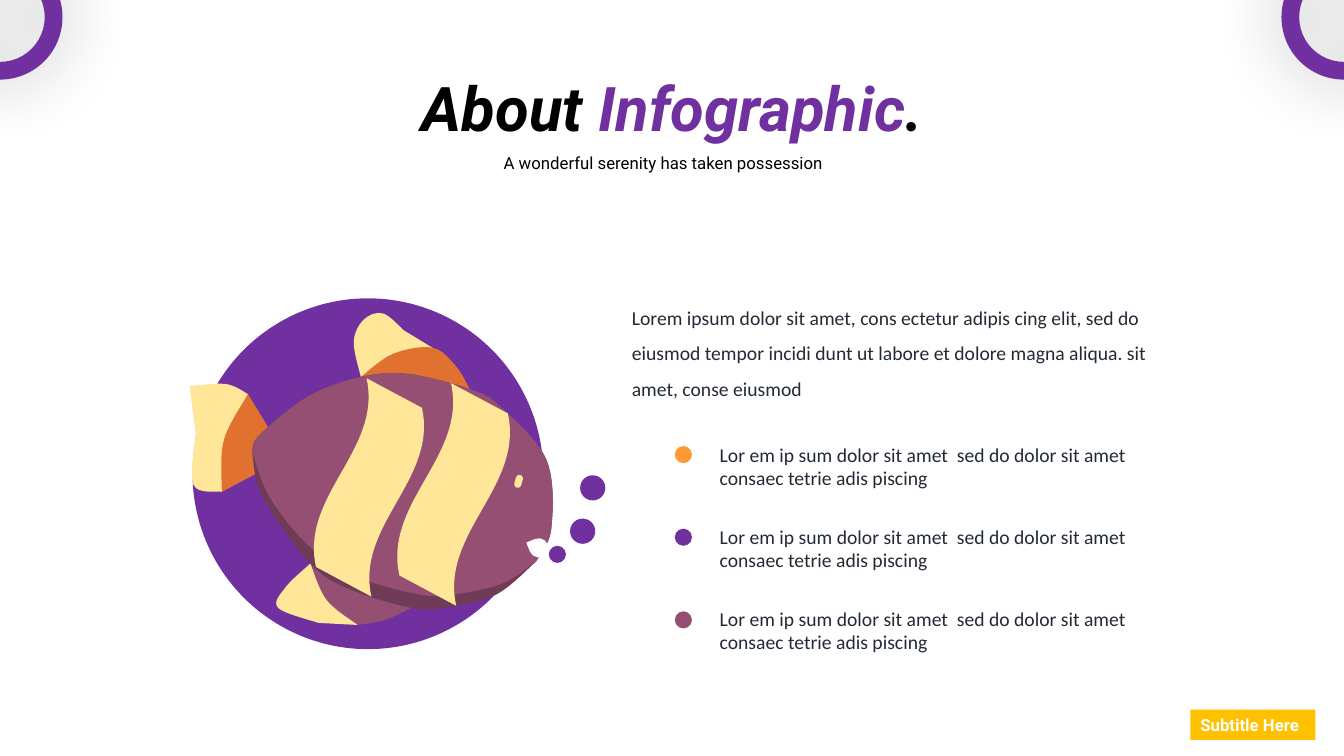
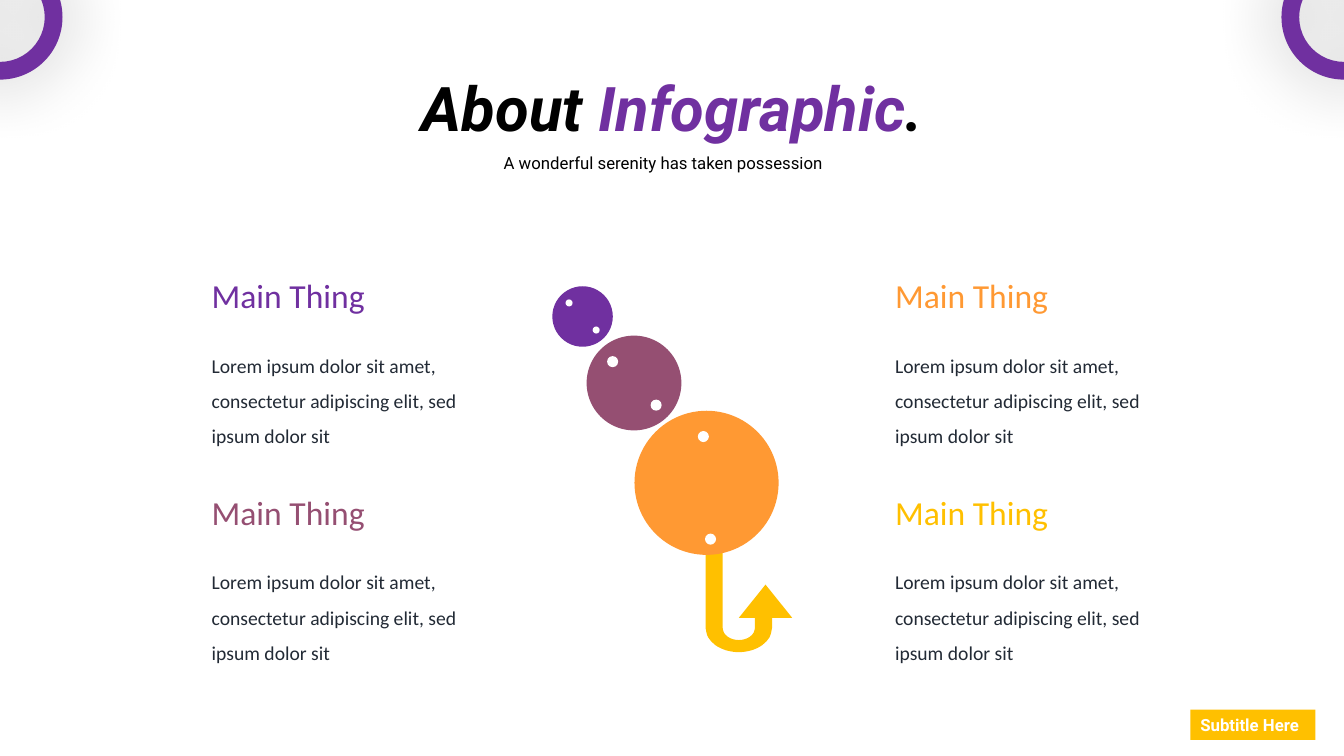
from math import cos, radians, sin

from pptx import Presentation
from pptx.dml.color import RGBColor
from pptx.enum.shapes import MSO_SHAPE
from pptx.enum.text import MSO_ANCHOR, MSO_AUTO_SIZE, PP_ALIGN
from pptx.oxml import parse_xml
from pptx.oxml.ns import nsdecls, qn
from pptx.util import Pt

CELL = 914400
COLUMNS, ROWS = 40 / 3, 7.5
PRECISION = 1000
COLORS = {
    "purple": "7030A0", "plum": "954F72", "shade": "703B56",
    "cream": "FFE699", "rust": "E0712F", "orange": "FF9933",
    "gold": "FFC000", "ink": "222A35", "black": "000000", "white": "FFFFFF",
}
HEADING, BODY = "Roboto", "Calibri"
SUMMARY = ("Lorem ipsum dolor sit amet, cons ectetur adipis cing elit, sed do eiusmod "
           "tempor incidi dunt ut labore et dolore magna aliqua. sit amet, conse eiusmod")
POINT = "Lor em ip sum dolor sit amet  sed do dolor sit amet consaec tetrie adis piscing"
DETAIL = "Lorem ipsum dolor sit amet, consectetur adipiscing elit, sed ipsum dolor sit"


def rgb(color):
    return RGBColor.from_string(COLORS[color])


def cells(*lengths):
    return [round(length * CELL) for length in lengths]


def paint(shape, color):
    shape.shadow.inherit = False
    shape.fill.solid()
    shape.fill.fore_color.rgb = rgb(color)
    shape.line.fill.background()
    return shape


def add_preset(shapes, preset, area, color, rotation=0, adjustments=()):
    shape = paint(shapes.add_shape(preset, *cells(*area)), color)
    shape.rotation = rotation
    for index, value in enumerate(adjustments):
        shape.adjustments[index] = value
    return shape


def add_disc(shapes, center, size, color):
    x, y = center
    return add_preset(shapes, MSO_SHAPE.OVAL, (x - size / 2, y - size / 2, size, size), color)


def step_toward(origin, behind, ahead, share):
    return tuple(o + (a - b) * share for o, b, a in zip(origin, behind, ahead))


def smooth(edge):
    padded = [edge[0], *edge, edge[-1]]
    for before, start, end, after in zip(padded, padded[1:], padded[2:], padded[3:]):
        yield step_toward(start, before, end, 1 / 6)
        yield step_toward(end, after, start, 1 / 6)
        yield end


def half_ring(center, radius_x, radius_y, steps=8):
    x, y = center
    angles = [radians(180 - 180 * step / steps) for step in range(steps + 1)]
    return [(x + radius_x * cos(angle), y + radius_y * sin(angle)) for angle in angles]


def add_outline(shapes, color, edges):
    start = position = edges[0][0]
    curve = []
    for edge in edges:
        if edge[0] != position:
            curve.extend(smooth([position, edge[0]]))
        curve.extend(smooth(edge))
        position = edge[-1]
    units = [[round(value * PRECISION) for value in point] for point in (start, *curve)]
    pen = shapes.build_freeform(*units[0], scale=CELL / PRECISION)
    pen.add_line_segments(units[1:], close=True)
    outline = paint(pen.convert_to_shape(), color)
    track = outline._element.xpath(".//a:path")[0]
    nodes = iter(track.findall(qn("a:lnTo")))
    for bend, pull, end in zip(nodes, nodes, nodes):
        bend.tag = qn("a:cubicBezTo")
        for node in (pull, end):
            bend.append(node[0])
            track.remove(node)


def add_run(paragraph, text, size, color, font, bold=None, italic=None):
    run = paragraph.add_run()
    run.text = text
    run.font.name, run.font.size = font, Pt(size)
    run.font.bold, run.font.italic = bold, italic
    run.font.color.rgb = rgb(color)


def place(placeholder, area):
    placeholder.left, placeholder.top, placeholder.width, placeholder.height = cells(*area)
    frame = placeholder.text_frame
    frame.auto_size = MSO_AUTO_SIZE.NONE
    frame.vertical_anchor = MSO_ANCHOR.TOP
    return frame


def add_text(slide, area, text, size, color, font=BODY, spacing=1, align=PP_ALIGN.LEFT,
             wrap=True, inset=True):
    frame = slide.shapes.add_textbox(*cells(*area)).text_frame
    frame.word_wrap = wrap
    frame.auto_size = MSO_AUTO_SIZE.SHAPE_TO_FIT_TEXT
    if not inset:
        frame.margin_left = frame.margin_top = frame.margin_right = frame.margin_bottom = 0
    paragraph = frame.paragraphs[0]
    paragraph.alignment, paragraph.line_spacing = align, spacing
    add_run(paragraph, text, size, color, font)


def add_corner_ring(slide, center):
    size = 1.24
    ring = add_preset(slide.shapes, MSO_SHAPE.DONUT,
                      (center - size / 2, -0.45, size, size), "purple", adjustments=[0.142])
    glow = parse_xml(
        f'<a:outerShdw {nsdecls("a")} blurRad="{Pt(49)}" dist="0" dir="0" algn="ctr" '
        f'rotWithShape="0"><a:srgbClr val="{COLORS["black"]}"><a:alpha val="33000"/>'
        '</a:srgbClr></a:outerShdw>')
    ring._element.spPr.find(qn("a:effectLst")).append(glow)


def add_frame(slide):
    title = place(slide.shapes.title, (2.37, 0.64, 8.6, 0.84)).paragraphs[0]
    title.alignment = PP_ALIGN.CENTER
    for text, color in (("About ", "black"), ("Infographic", "purple"), (".", "black")):
        add_run(title, text, 44, color, HEADING, bold=True, italic=True)
    add_text(slide, (4.37, 1.37, 4.42, 0.37), "A wonderful serenity has taken possession",
             12, "black", HEADING, 1.5, PP_ALIGN.CENTER)
    tag = add_preset(slide.shapes, MSO_SHAPE.RECTANGLE, (11.81, 7.04, 1.24, 0.3), "gold")
    tag.text_frame.word_wrap = False
    label = tag.text_frame.paragraphs[0]
    label.alignment = PP_ALIGN.LEFT
    add_run(label, "Subtitle Here", 12, "white", HEADING, bold=True)
    for center in (0, COLUMNS):
        add_corner_ring(slide, center)


def add_tail(fish):
    top, notch, bottom = (2.46, 3.91), (1.94, 4.29), (2.2, 4.88)
    upper_lobe = [top, (2.24, 3.81), (1.88, 3.83)]
    lower_lobe = [notch, (1.92, 4.81), bottom]
    fold = [bottom, (2.22, 4.37), top]
    add_outline(fish, "cream", [upper_lobe, lower_lobe])
    add_outline(fish, "rust", [fold, [(2.66, 4.24)], [(2.54, 4.7)]])


def add_fins(fish):
    back_root, back_tip = (3.58, 3.74), (4.29, 3.45)
    back_lobe = [back_root, (3.51, 3.39), (3.61, 3.17), (3.8, 3.11), (4.01, 3.28)]
    back_fold = [back_root, (3.9, 3.51), back_tip, (4.52, 3.63), (4.66, 3.86)]
    add_outline(fish, "cream", [back_lobe, [back_tip]])
    add_outline(fish, "rust", [back_fold])

    belly_root, belly_tip = (3.08, 5.59), (3.55, 6.2)
    belly_lobe = [belly_root, (2.83, 5.83), (2.76, 6.03), (3.16, 6.18)]
    belly_fold = [belly_root, (3.24, 5.95), belly_tip]
    add_outline(fish, "cream", [belly_lobe, [belly_tip]])
    add_outline(fish, "plum", [belly_fold, [belly_tip, (3.82, 6.15), (4.08, 6.03)]])


def add_body(fish):
    tail_joint, chin = (2.5, 4.48), (5.32, 5.57)
    back = [tail_joint, (2.58, 4.31), (3.06, 3.93), (3.58, 3.74), (4.05, 3.71),
            (4.66, 3.86), (4.96, 4.03), (5.42, 4.56), (5.47, 5.24), chin]
    belly = [chin, (4.92, 5.9), (4.42, 6.03), (4.08, 6.03), (3.48, 5.85),
             (3.08, 5.59), (2.61, 4.94), tail_joint]
    lit_belly = [chin, (4.98, 5.79), (4.48, 5.9), (4.12, 5.89), (3.51, 5.71),
                 (3.06, 5.41), (2.68, 4.94), tail_joint]
    for color, underside in (("shade", belly), ("plum", lit_belly)):
        add_outline(fish, color, [back, underside])


def add_fish(slide):
    add_disc(slide.shapes, (3.65, 4.7), 3.48, "purple")
    fish = slide.shapes.add_group_shape().shapes
    add_tail(fish)
    add_fins(fish)
    add_body(fish)
    for stripe in ((3.44, 4.49, 2.12, 0.83), (2.62, 4.43, 2.08, 0.81)):
        add_preset(fish, MSO_SHAPE.WAVE, stripe, "cream", 105, [0.125, -0.034])
    eye, mouth = (5.11, 4.71, 0.07, 0.13), (5.25, 5.34, 0.19, 0.19)
    add_preset(fish, MSO_SHAPE.ROUNDED_RECTANGLE, eye, "cream", 15, [0.5])
    add_preset(fish, MSO_SHAPE.TEAR, mouth, "white", 247.6)
    for bubble, size in (((5.53, 5.5), 0.17), ((5.78, 5.27), 0.25), ((5.88, 4.84), 0.25)):
        add_disc(slide.shapes, bubble, size, "purple")


def add_points(slide):
    frame = place(slide.placeholders[1], (7.04, 4.34, 4.82, 2.21))
    for index, color in enumerate(("orange", "purple", "plum")):
        point = frame.paragraphs[0] if index == 0 else frame.add_paragraph()
        point.space_before, point.space_after = Pt(0), Pt(25)
        properties = point._p.get_or_add_pPr()
        properties.set("marL", "0")
        properties.set("indent", "0")
        properties.append(parse_xml(f'<a:buNone {nsdecls("a")}/>'))
        add_run(point, POINT, 14, "ink", BODY)
        add_disc(slide.shapes, (6.78, 4.51 + index * 0.82), 0.17, color)


def add_hook(lure):
    center, thickness = (7.33, 6.23), 0.17
    rod_top, barb = 5.04, 6
    outer = half_ring(center, 0.33, 0.24)
    inner = half_ring(center, 0.33 - thickness, 0.12)
    (rod_left, _), (barb_right, _) = outer[0], outer[-1]
    (rod_right, _), (barb_left, _) = inner[0], inner[-1]
    add_outline(lure, "gold", [
        [(rod_left, rod_top)], outer, [(barb_right, barb)],
        [(barb_left, barb)], inner[::-1], [(rod_right, rod_top)]])
    add_preset(lure, MSO_SHAPE.ISOSCELES_TRIANGLE, (7.33, 5.8, 0.53, 0.33), "gold")


def add_bead(lure, center, size, color, spark_size, angle, reaches):
    add_disc(lure, center, size, color)
    x, y = center
    for direction, reach in zip((-1, 1), reaches):
        distance = direction * reach
        spark = (x + distance * cos(radians(angle)), y + distance * sin(radians(angle)))
        add_disc(lure, spark, spark_size, "white")


def add_lure(slide):
    lure = slide.shapes.add_group_shape().shapes
    add_hook(lure)
    add_bead(lure, (6.29, 3.8), 0.94, "plum", 0.11, 45, (0.3, 0.31))
    add_bead(lure, (7.01, 4.79), 1.43, "orange", 0.11, 86, (0.46, 0.56))
    add_bead(lure, (5.78, 3.14), 0.6, "purple", 0.07, 45, (0.19, 0.19))


def add_topics(slide):
    for index, color in enumerate(("purple", "plum", "orange", "gold")):
        column, line = divmod(index, 2)
        left, top = 2.1 + column * 6.78, 2.73 + line * 2.15
        add_text(slide, (left, top, 1.68, 0.4), "Main Thing", 24, color,
                 wrap=False, inset=False)
        add_text(slide, (left, top + 0.66, 2.64, 1.02), DETAIL, 14, "ink",
                 spacing=1.5, inset=False)


def main():
    deck = Presentation()
    deck.slide_width, deck.slide_height = cells(COLUMNS, ROWS)

    fish_slide = deck.slides.add_slide(deck.slide_layouts[1])
    add_fish(fish_slide)
    add_text(fish_slide, (6.17, 2.87, 5.51, 1.12), SUMMARY, 14, "ink", spacing=1.5)
    add_points(fish_slide)
    add_frame(fish_slide)

    lure_slide = deck.slides.add_slide(deck.slide_layouts[5])
    add_lure(lure_slide)
    add_topics(lure_slide)
    add_frame(lure_slide)

    deck.save("out.pptx")


main()
